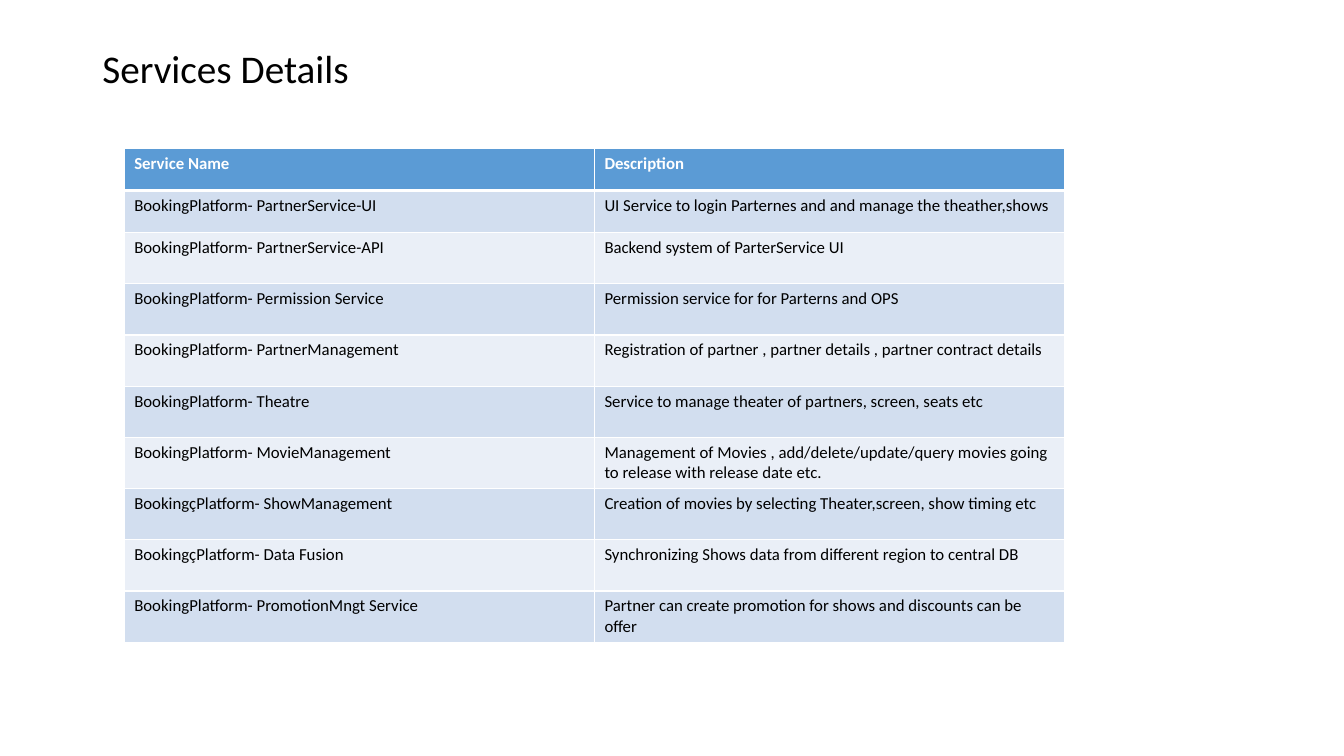
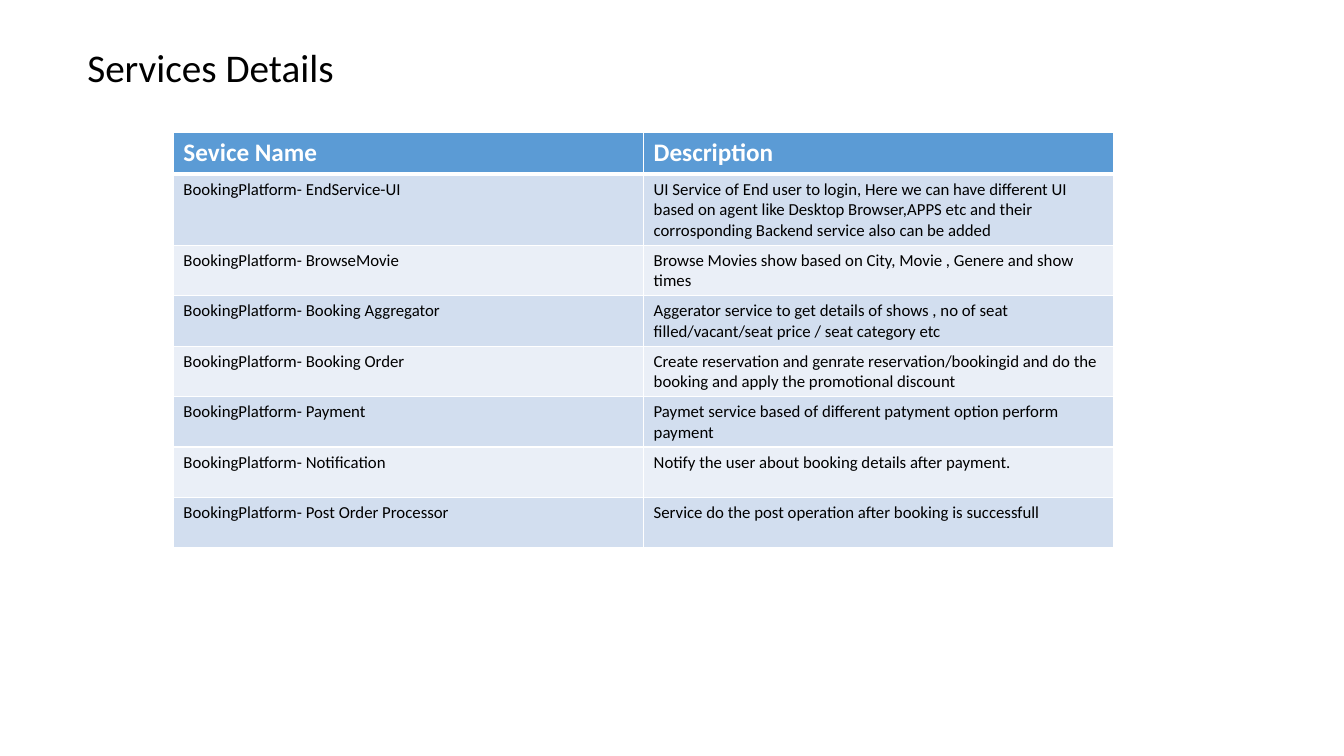
from lxml import etree
from pptx import Presentation
from pptx import util as u
from pptx.dml.color import RGBColor
from pptx.enum import text
from pptx.oxml.ns import qn

FONT = "Calibri"
BLACK = RGBColor(0x00, 0x00, 0x00)
WHITE = RGBColor(0xFF, 0xFF, 0xFF)
HEADER_BLUE = RGBColor(0x5B, 0x9B, 0xD5)
BANDS = [RGBColor(0xD2, 0xDE, 0xEF), RGBColor(0xEA, 0xEF, 0xF7)]

COLUMN_WIDTH = 11.85
SINGLE_ROW = 1.06

PARTNER_SERVICES = [
    ("Service Name", "Description"),
    ("BookingPlatform- PartnerService-UI",
     "UI Service to login Parternes and and manage the theather,shows"),
    ("BookingPlatform- PartnerService-API", "Backend system of ParterService UI"),
    ("BookingPlatform- Permission Service", "Permission service for for Parterns and OPS"),
    ("BookingPlatform- PartnerManagement",
     "Registration of partner , partner details , partner contract details"),
    ("BookingPlatform- Theatre", "Service to manage theater of partners, screen, seats etc"),
    ("BookingPlatform- MovieManagement",
     "Management of Movies , add/delete/update/query movies going to release with release date etc."),
    ("BookingçPlatform- ShowManagement",
     "Creation of movies by selecting Theater,screen, show timing etc"),
    ("BookingçPlatform- Data Fusion",
     "Synchronizing Shows data from different region to central DB"),
    ("BookingPlatform- PromotionMngt Service",
     "Partner can create promotion for shows and discounts can be offer"),
]

CUSTOMER_SERVICES = [
    ("Sevice Name", "Description"),
    ("BookingPlatform- EndService-UI",
     "UI Service of End user to login, Here we can have different UI based on agent like "
     "Desktop Browser,APPS etc and their corrosponding Backend service also can be added"),
    ("BookingPlatform- BrowseMovie",
     "Browse Movies show based on City, Movie , Genere and show times"),
    ("BookingPlatform- Booking Aggregator",
     "Aggerator service to get details of shows , no of seat filled/vacant/seat price / "
     "seat category etc"),
    ("BookingPlatform- Booking Order",
     "Create reservation and genrate reservation/bookingid and do the booking and apply "
     "the promotional discount"),
    ("BookingPlatform- Payment",
     "Paymet service based of different patyment option perform payment"),
    ("BookingPlatform- Notification", "Notify the user about booking details after payment."),
    ("BookingPlatform- Post Order Processor",
     "Service do the post operation after booking is successfull"),
]

PAGES = [
    dict(title="Services Details", title_box=(2.33, 1.02, 23.32, 1.52), spacing=0.9,
         rows=PARTNER_SERVICES, corner=(3.13, 3.74), header_size=12,
         first_row=SINGLE_ROW, other_rows=1.29),
    dict(title="Services Details", title_box=(1.95, 0.97, 7.54, 1.45), spacing=1.0,
         rows=CUSTOMER_SERVICES, corner=(4.37, 3.33), header_size=18,
         first_row=1.79, other_rows=1.27),
]


def write(frame, content, size, color=BLACK, bold=False, spacing=None):
    frame.word_wrap = True
    para = frame.paragraphs[0]
    para.line_spacing = spacing
    span = para.add_run()
    span.text = content
    span.font.name = FONT
    span.font.size = u.Pt(size)
    span.font.bold = bold
    span.font.color.rgb = color


def add_title(page, content, place, spacing):
    box = page.shapes.add_textbox(*map(u.Cm, place))
    box.text_frame.vertical_anchor = text.MSO_ANCHOR.MIDDLE
    write(box.text_frame, content, 28, spacing=spacing)


def set_borders(cell, **widths):
    properties = cell._tc.get_or_add_tcPr()
    for position, side in enumerate("LRTB"):
        line = etree.Element(qn(f"a:ln{side}"), w=str(u.Pt(widths.get(side, 1))))
        fill = etree.SubElement(line, qn("a:solidFill"))
        etree.SubElement(fill, qn("a:srgbClr"), val=str(WHITE))
        properties.insert(position, line)


def add_service_table(page, rows, corner, header_size, first_row, other_rows):
    heights = [SINGLE_ROW, first_row] + [other_rows] * (len(rows) - 2)
    columns = len(rows[0])
    place = (*corner, COLUMN_WIDTH * columns, sum(heights))
    table = page.shapes.add_table(len(rows), columns, *map(u.Cm, place)).table
    for column in table.columns:
        column.width = u.Cm(COLUMN_WIDTH)
    for index, (values, height) in enumerate(zip(rows, heights)):
        table.rows[index].height = u.Cm(height)
        header = index == 0
        for cell, value in zip(table.rows[index].cells, values):
            cell.fill.solid()
            cell.fill.fore_color.rgb = HEADER_BLUE if header else BANDS[(index - 1) % 2]
            set_borders(cell, B=3 if header else 1, T=3 if index == 1 else 1)
            write(cell.text_frame, value, header_size if header else 12,
                  color=WHITE if header else BLACK, bold=header)


def main():
    deck = Presentation()
    deck.slide_width, deck.slide_height = u.Cm(33.87), u.Cm(19.05)
    for content in PAGES:
        page = deck.slides.add_slide(deck.slide_layouts[6])
        add_title(page, content["title"], content["title_box"], content["spacing"])
        add_service_table(page, content["rows"], content["corner"], content["header_size"],
                          content["first_row"], content["other_rows"])
    deck.save("out.pptx")


if __name__ == "__main__":
    main()
